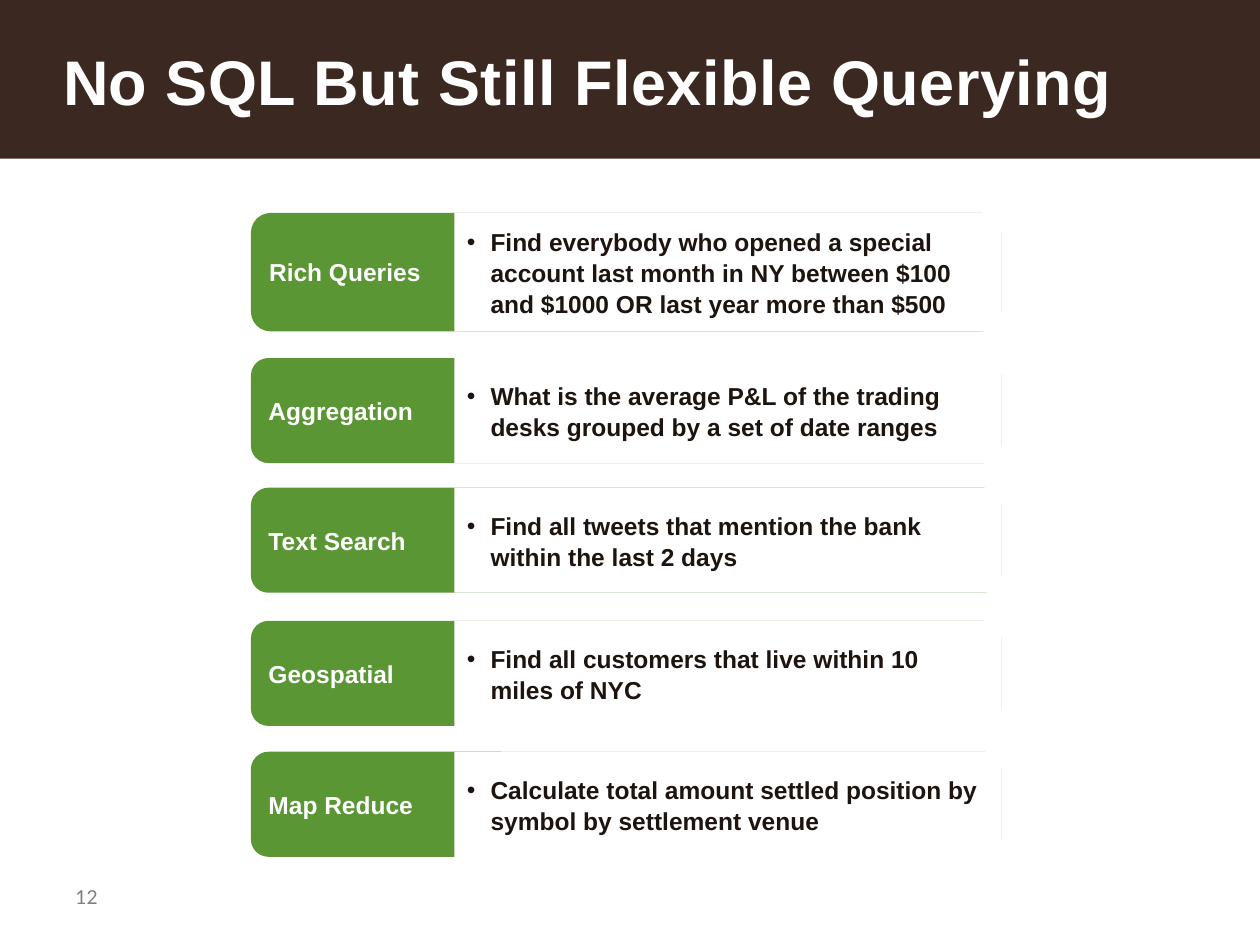
import pptx
import pptx.dml.color
import pptx.enum.shapes
import pptx.enum.text
import pptx.oxml.ns
import pptx.util
from lxml import etree

Pt = pptx.util.Pt
RGBColor = pptx.dml.color.RGBColor
MSO_SHAPE = pptx.enum.shapes.MSO_SHAPE
MSO_ANCHOR = pptx.enum.text.MSO_ANCHOR
PP_ALIGN = pptx.enum.text.PP_ALIGN
qn = pptx.oxml.ns.qn

TITLE = "No SQL But Still Flexible Querying"
PAGE_NUMBER = "12"
QUERY_TYPES = [
    ("Rich Queries", "Find everybody who opened a special account last month in NY "
     "between $100 and $1000 OR last year more than $500", 121.7, 67.7),
    ("Aggregation", "What is the average P&L of the trading desks grouped by a set "
     "of date ranges", 204.6, 60),
    ("Text Search", "Find all tweets that mention the bank within the last 2 days",
     278.7, 60),
    ("Geospatial", "Find all customers that live within 10 miles of NYC", 354.8, 60),
    ("Map Reduce", "Calculate total amount settled position by symbol by "
     "settlement venue", 429.6, 60),
]

BROWN = RGBColor(0x3B, 0x29, 0x21)
GREEN = RGBColor(0x5A, 0x96, 0x33)
WHITE = RGBColor(0xFF, 0xFF, 0xFF)
DARK = RGBColor(0x1D, 0x14, 0x10)
GREY = RGBColor(0x7F, 0x7F, 0x7F)

SLIDE_WIDTH, SLIDE_HEIGHT = 720, 540
HEADER_HEIGHT = 90.7
MARGIN = 36
ROW_LEFT, ROW_RIGHT = 143.4, 572.1
EXAMPLE_LEFT = 259.7
BULLET_INDENT = 13.5


def add_block(shapes, kind, left, top, width, height, color):
    shape = shapes.add_shape(kind, Pt(left), Pt(top), Pt(width), Pt(height))
    shape.shadow.inherit = False
    shape.fill.solid()
    shape.fill.fore_color.rgb = color
    shape.line.fill.background()
    return shape


def write(shape, text, size, color, font_name="Arial", bold=True):
    text_frame = shape.text_frame
    text_frame.text = text
    text_frame.word_wrap = True
    text_frame.vertical_anchor = MSO_ANCHOR.MIDDLE
    paragraph = text_frame.paragraphs[0]
    paragraph.alignment = PP_ALIGN.LEFT
    font = paragraph.runs[0].font
    font.name = font_name
    font.size = Pt(size)
    font.bold = bold
    font.color.rgb = color
    return paragraph


def add_bullet(paragraph):
    properties = paragraph._p.get_or_add_pPr()
    properties.set("marL", str(Pt(BULLET_INDENT)))
    properties.set("indent", str(-Pt(BULLET_INDENT)))
    etree.SubElement(properties, qn("a:buFont")).set("typeface", "Arial")
    etree.SubElement(properties, qn("a:buChar")).set("char", "•")


def add_header(slide):
    header = add_block(slide.shapes, MSO_SHAPE.RECTANGLE, 0, 0,
                       SLIDE_WIDTH, HEADER_HEIGHT, BROWN)
    title = slide.shapes.title
    header._element.addnext(title._element)
    title.left, title.top = Pt(MARGIN), Pt(0.7)
    title.width, title.height = Pt(SLIDE_WIDTH - 2 * MARGIN), Pt(HEADER_HEIGHT - 0.7)
    paragraph = write(title, TITLE, 36, WHITE)
    paragraph.runs[0].font._element.set("spc", "30")
    frame = title.text_frame
    frame.auto_size = pptx.enum.text.MSO_AUTO_SIZE.NONE
    frame.margin_left = frame.margin_right = frame.margin_top = frame.margin_bottom = 0


def add_query_row(slide, label, example, top, height):
    group = slide.shapes.add_group_shape()
    label_block = add_block(group.shapes, MSO_SHAPE.ROUNDED_RECTANGLE, ROW_LEFT, top,
                            ROW_RIGHT - ROW_LEFT, height, GREEN)
    write(label_block, label, 14, WHITE)
    example_block = add_block(group.shapes, MSO_SHAPE.ROUNDED_RECTANGLE, EXAMPLE_LEFT,
                              top, ROW_RIGHT - EXAMPLE_LEFT, height, WHITE)
    example_block.adjustments[0] = 0
    paragraph = write(example_block, example, 14, DARK)
    paragraph.line_spacing = 1.05
    add_bullet(paragraph)


def main():
    presentation = pptx.Presentation()
    presentation.slide_width = Pt(SLIDE_WIDTH)
    presentation.slide_height = Pt(SLIDE_HEIGHT)
    slide = presentation.slides.add_slide(presentation.slide_layouts[5])
    add_header(slide)
    for label, example, top, height in QUERY_TYPES:
        add_query_row(slide, label, example, top, height)
    page_number = slide.shapes.add_textbox(Pt(MARGIN), Pt(502.6), Pt(168.5), Pt(20))
    write(page_number, PAGE_NUMBER, 11, GREY, "Lato", False)
    presentation.save("out.pptx")


if __name__ == "__main__":
    main()
